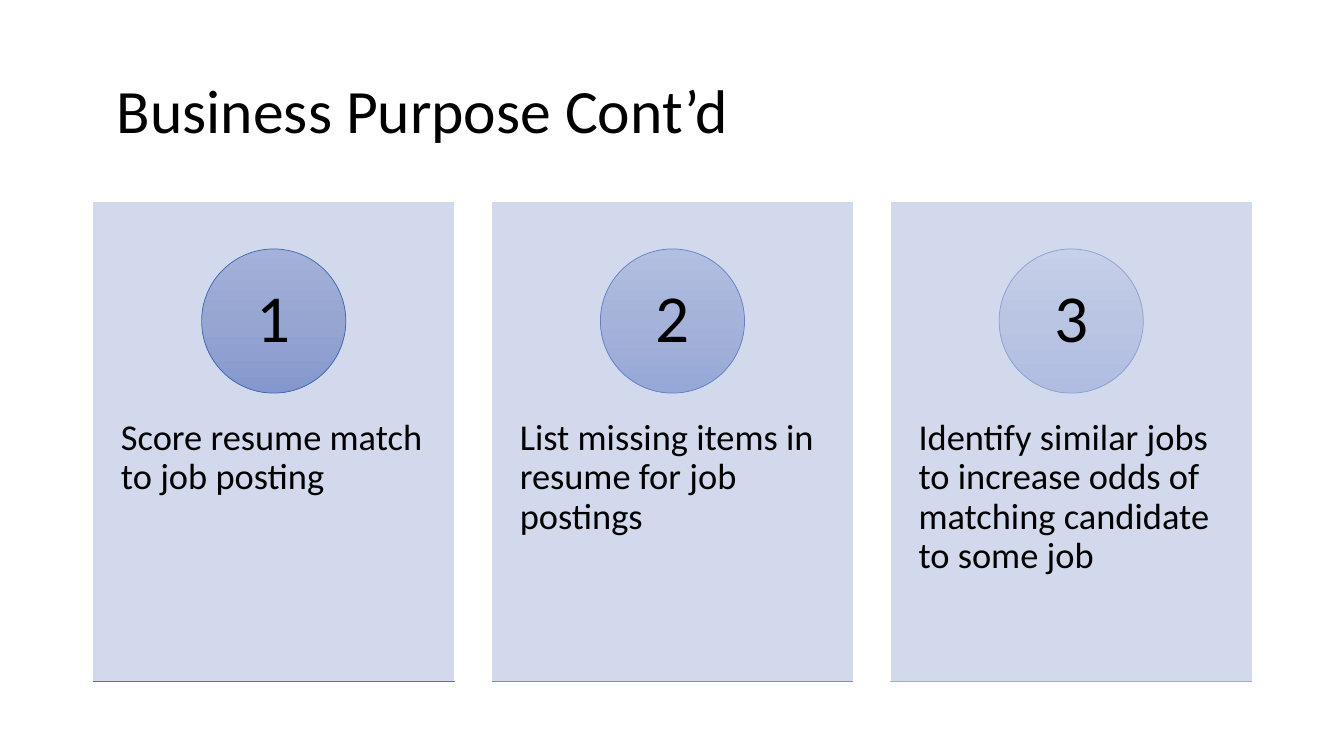
from copy import deepcopy
from lxml import etree
from pptx import Presentation
from pptx.dml.color import RGBColor
from pptx.enum.shapes import MSO_CONNECTOR, MSO_SHAPE
from pptx.enum.text import MSO_ANCHOR, PP_ALIGN
from pptx.oxml.ns import qn
from pptx.util import Inches, Pt

RECT, OVAL = MSO_SHAPE.RECTANGLE, MSO_SHAPE.OVAL
LINE = MSO_CONNECTOR.STRAIGHT
TOP, MID = MSO_ANCHOR.TOP, MSO_ANCHOR.MIDDLE
LEFT, CENTER = PP_ALIGN.LEFT, PP_ALIGN.CENTER

# Content: text, badge gradient, badge edge, base line
TITLE = "Business Purpose Cont’d"
GOALS = [
    ("Score resume match to job posting",
     ("A4B2D9", "97A6D1", "8497CE"), "3E67B2", "4C73BF"),
    ("List missing items in resume for job postings",
     ("B3BFE0", "A5B3DA", "95A8D7"), "6181C5", "7690CB"),
    ("Identify similar jobs to increase odds of matching candidate to some job",
     ("C7D0E9", "BAC5E3", "B0BDE1"), "8B9FD1", "9FAED8"),
]
COLORS = {"text": "000000", "card": "CFD5EA", "edge": "FFFFFF"}
FONT = "Calibri"

# Grid in inches
X, Y, WIDE, HIGH = 0.92, 2, 11.5, 4.76
CARD = 3.59
STEP = (WIDE - CARD) / (len(GOALS) - 1)
BADGE, DROP = 1.43, 0.47
TEXT_Y, TEXT_H = 3.8, 2.86


def rgb(code):
    return RGBColor.from_string(code)


def box(*sizes):
    return [Inches(size) for size in sizes]


def write(shape, text, size, anchor, align, pads):
    frame = shape.text_frame
    frame.text = text
    frame.word_wrap = True
    frame.vertical_anchor = anchor
    (frame.margin_left, frame.margin_top,
     frame.margin_right, frame.margin_bottom) = box(*pads)
    para = frame.paragraphs[0]
    para.alignment, para.line_spacing = align, 0.9
    font = para.runs[0].font
    font.name, font.size = FONT, Pt(size)
    font.color.rgb = rgb(COLORS["text"])


def edge(shape, code):
    shape.line.color.rgb = rgb(code)
    shape.line.width = Pt(0.5)


def shade(shape, codes):
    fill = shape.fill
    fill.gradient()
    fill.gradient_angle = 270
    stops = shape._element.spPr.find(".//" + qn("a:gsLst"))
    stops.insert(1, deepcopy(stops[0]))
    for stop, code, place in zip(fill.gradient_stops, codes, (0, 0.5, 1)):
        stop.color.rgb, stop.position = rgb(code), place


deck = Presentation()
deck.slide_width, deck.slide_height = box(13.33, 7.5)
slide = deck.slides.add_slide(deck.slide_layouts[5])
shapes = slide.shapes

# Title
title = shapes.title
title.left, title.top, title.width, title.height = box(X, 0.4, WIDE, 1.45)
write(title, TITLE, 44, MID, LEFT, (0.24, 0.05, 0.1, 0.05))

# Numbered cards
for num, (text, codes, rim, base) in enumerate(GOALS):
    x = X + num * STEP

    card = shapes.add_shape(RECT, *box(x, Y, CARD, HIGH))
    card.shadow.inherit = False
    card.fill.solid()
    card.fill.fore_color.rgb = rgb(COLORS["card"])
    tone = card._element.spPr.find(".//" + qn("a:srgbClr"))
    etree.SubElement(tone, qn("a:alpha"), val="90000")
    edge(card, COLORS["edge"])

    label = shapes.add_textbox(*box(x, TEXT_Y, CARD, TEXT_H))
    write(label, text, 26, TOP, LEFT, (0.28, 0.36, 0.28, 0.36))

    badge = shapes.add_shape(
        OVAL, *box(x + (CARD - BADGE) / 2, Y + DROP, BADGE, BADGE))
    badge.shadow.inherit = False
    shade(badge, codes)
    edge(badge, rim)
    write(badge, str(num + 1), 48, MID, CENTER, (0.11, 0.01, 0.11, 0.01))

    rule = shapes.add_connector(LINE, *box(x, Y + HIGH, x + CARD, Y + HIGH))
    edge(rule, base)
    etree.SubElement(rule._element.spPr, qn("a:effectLst"))

deck.save("out.pptx")
